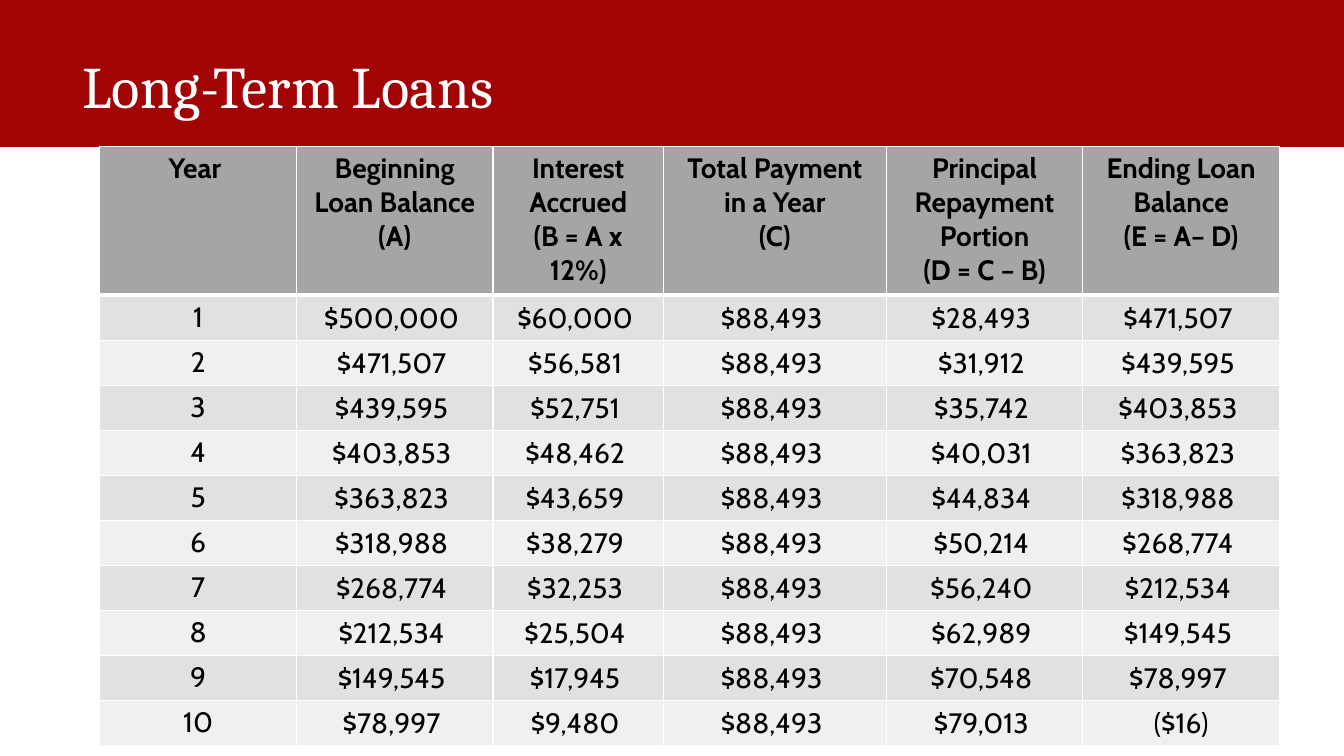
from lxml.etree import SubElement
from pptx import Presentation
from pptx.dml.color import RGBColor
from pptx.enum.shapes import MSO_SHAPE
from pptx.enum.text import MSO_ANCHOR, PP_ALIGN
from pptx.oxml.ns import qn
from pptx.util import Inches, Pt

TITLE = "Long-Term Loans"
HEADINGS = [
    "Year ",
    "Beginning Loan Balance\n(A)",
    "Interest Accrued\n(B = A x 12%)",
    "Total Payment in a Year\n(C)",
    "Principal Repayment Portion\n(D = C – B)",
    "Ending Loan Balance\n(E = A– D)",
]
FIRST_BALANCE = 500000
YEARLY_PAYMENT = 88493
# Interest accrued, principal repaid, ending balance
YEARS = [
    (60000, 28493, 471507),
    (56581, 31912, 439595),
    (52751, 35742, 403853),
    (48462, 40031, 363823),
    (43659, 44834, 318988),
    (38279, 50214, 268774),
    (32253, 56240, 212534),
    (25504, 62989, 149545),
    (17945, 70548, 78997),
    (9480, 79013, -16),
]
COLORS = {
    "banner": "A20305",
    "title": "FFFFFF",
    "heading": "A5A5A5",
    "odd": "E1E1E1",
    "even": "F0F0F0",
    "text": "000000",
    "border": "FFFFFF",
}
COLUMN_WIDTHS = [1.95, 1.95, 1.69, 2.21, 1.95, 1.95]
HEADING_HEIGHT, YEAR_HEIGHT = 1.48, 0.447
SLIDE_WIDTH, BANNER_HEIGHT = 13.33, 1.45


def color(name):
    return RGBColor.from_string(COLORS[name])


def dollars(amount):
    """Positive amounts end in a space, which balances the closing bracket of negatives."""
    return f"${amount:,} " if amount >= 0 else f"(${-amount:,})"


def style_runs(paragraph, font_name, size, color_name, bold=False):
    for run in paragraph.runs:
        run.font.name = font_name
        run.font.size = Pt(size)
        run.font.bold = bold
        run.font.color.rgb = color(color_name)


def add_borders(cell, top, bottom):
    """Draw the four cell borders; must run before the cell gets its fill."""
    properties = cell._tc.get_or_add_tcPr()
    for side, points in (("L", 1), ("R", 1), ("T", top), ("B", bottom)):
        line = SubElement(properties, qn(f"a:ln{side}"), w=str(Pt(points)))
        fill = SubElement(line, qn("a:solidFill"))
        SubElement(fill, qn("a:srgbClr"), val=COLORS["border"])


def fill_cell(cell, text, row, column):
    is_heading = row == 0
    cell.text_frame.text = text
    for paragraph in cell.text_frame.paragraphs:
        paragraph.alignment = PP_ALIGN.CENTER
        style_runs(paragraph, "Cabin", 20, "text", bold=is_heading)
    if not is_heading and column > 0:
        cell.vertical_anchor = MSO_ANCHOR.MIDDLE
        cell.margin_left = cell.margin_right = cell.margin_bottom = Inches(0.01)
        cell.margin_top = Inches(0.02)
    add_borders(cell, top=3 if row == 1 else 1, bottom=3 if is_heading else 1)
    cell.fill.solid()
    cell.fill.fore_color.rgb = color("heading" if is_heading else "odd" if row % 2 else "even")


def add_banner(slide):
    banner = slide.shapes.add_shape(
        MSO_SHAPE.RECTANGLE, 0, 0, Inches(SLIDE_WIDTH), Inches(BANNER_HEIGHT))
    banner.shadow.inherit = False
    banner.fill.solid()
    banner.fill.fore_color.rgb = color("banner")
    banner.line.color.rgb = color("banner")
    banner.line.width = Pt(1)

    title = slide.shapes.add_textbox(Inches(0.72), Inches(0.16), Inches(11.5), Inches(1.45))
    title.text_frame.word_wrap = True
    title.text_frame.vertical_anchor = MSO_ANCHOR.MIDDLE
    title.text_frame.text = TITLE
    heading = title.text_frame.paragraphs[0]
    heading.line_spacing = 0.9
    style_runs(heading, "Cambria", 42, "title")


def add_loan_table(slide):
    rows = [HEADINGS]
    balance = FIRST_BALANCE
    for year, (interest, principal, ending) in enumerate(YEARS, start=1):
        amounts = (balance, interest, YEARLY_PAYMENT, principal, ending)
        rows.append([str(year), *map(dollars, amounts)])
        balance = ending

    heights = [HEADING_HEIGHT] + [YEAR_HEIGHT] * len(YEARS)
    loans = slide.shapes.add_table(
        len(rows), len(HEADINGS), Inches(0.99), Inches(BANNER_HEIGHT),
        Inches(sum(COLUMN_WIDTHS)), Inches(sum(heights))).table
    for column, width in zip(loans.columns, COLUMN_WIDTHS):
        column.width = Inches(width)
    for row, height in zip(loans.rows, heights):
        row.height = Inches(height)
    for r, texts in enumerate(rows):
        for c, text in enumerate(texts):
            fill_cell(loans.cell(r, c), text, r, c)


def main():
    deck = Presentation()
    deck.slide_width, deck.slide_height = Inches(SLIDE_WIDTH), Inches(7.5)
    slide = deck.slides.add_slide(deck.slide_layouts[6])
    add_banner(slide)
    add_loan_table(slide)
    deck.save("out.pptx")


if __name__ == "__main__":
    main()
